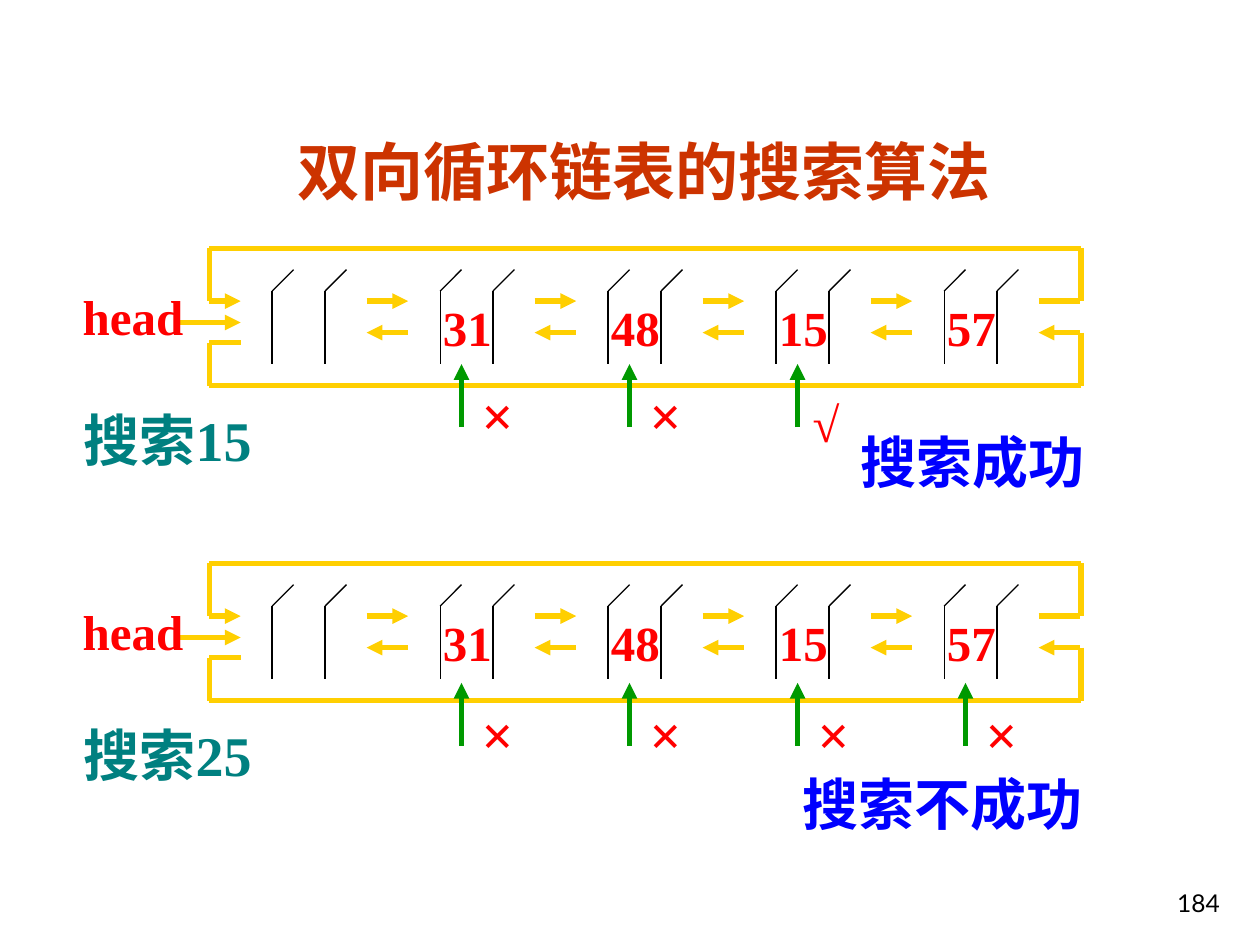
from dataclasses import dataclass

from lxml import etree
from pptx import Presentation
from pptx.dml.color import RGBColor
from pptx.enum import shapes, text
from pptx.oxml.ns import qn
from pptx.util import Inches, Pt


@dataclass(frozen=True)
class Theme:
    """Colours, fonts and sizes of the slide."""
    title: str = "CC3300"
    label: str = "FF0000"
    query: str = "008080"
    result: str = "0000FF"
    link: str = "FFCF01"
    probe: str = "009900"
    ink: str = "000000"
    font: str = "Times New Roman"
    number_font: str = "Lato"
    title_size: int = 36
    large: int = 32
    medium: int = 28
    small: int = 14
    thick: float = 3
    thin: float = 0.75


T = Theme()
PITCH = 4 / 3
NODE_X = 0.5
PROBE_DX = 0.17


def add_text(s, box, content, size, color, align=text.PP_ALIGN.CENTER,
             anchor=text.MSO_ANCHOR.MIDDLE, inset=(0.1, 0.05), wrap=False,
             font=T.font, bold=True):
    """Add one line of text in a box given in inches."""
    sp = s.shapes.add_textbox(*map(Inches, box))
    tf = sp.text_frame
    tf.word_wrap = wrap
    tf.vertical_anchor = anchor
    tf.margin_left = tf.margin_right = Inches(inset[0])
    tf.margin_top = tf.margin_bottom = Inches(inset[1])
    p = tf.paragraphs[0]
    p.text = content
    p.alignment = align
    f = p.runs[0].font
    f.name, f.size, f.bold = font, Pt(size), bold
    f.color.rgb = RGBColor.from_string(color)


def add_line(s, origin, start, end, color=T.link, width=T.thick, arrow=None):
    """Add a line between two points relative to an origin."""
    x, y = origin
    ends = (x + start[0], y + start[1], x + end[0], y + end[1])
    c = s.shapes.add_connector(shapes.MSO_CONNECTOR.STRAIGHT, *map(Inches, ends))
    c.line.color.rgb = RGBColor.from_string(color)
    c.line.width = Pt(width)
    if arrow:
        etree.SubElement(c.line._get_or_add_ln(), qn(f"a:{arrow}"), type="triangle")
    etree.SubElement(c._element.spPr, qn("a:effectLst"))


def add_node(s, origin, value):
    """Draw the two field dividers of a node and its value."""
    for x in (0, 0.42):
        add_line(s, origin, (x, 0.34), (x, 0.92), T.ink, T.thin)
        add_line(s, origin, (x, 0.34), (x + 0.17, 0.17), T.ink, T.thin)
    if value:
        add_text(s, (origin[0] - 0.08, origin[1] + 0.34, 0.59, 0.57),
                 value, T.medium, T.label)


def add_probe(s, origin, mark):
    """Draw a search step as an upward arrow with its outcome mark."""
    x, y = origin
    add_line(s, origin, (0, 0.5), (0, 0), T.probe, arrow="tailEnd")
    if mark == "√":
        add_text(s, (x + 0.02, y + 0.18, 0.41, 0.57), mark, T.medium, T.label)
    else:
        add_text(s, (x + 0.06, y + 0.08, 0.45, 0.63), mark, T.large, T.label)


def add_loop(s, box):
    """Draw the links that close the list into a ring."""
    left, top, w, h = box
    origin = (left, top)
    add_line(s, origin, (0, 0.42), (0.25, 0.42), arrow="tailEnd")
    add_line(s, origin, (-0.25, 0.59), (0.25, 0.59), arrow="tailEnd")
    for start, end in (
        ((w, 0), (0, 0)), ((0, 0), (0, 0.42)), ((w, 0), (w, 0.42)),
        ((w, h), (0, h)), ((0, 0.75), (0, h)), ((w, 0.67), (w, h)),
        ((0, 0.75), (0.25, 0.75)),
    ):
        add_line(s, origin, start, end)


def add_search(s, box, values, query, marks, probe_y):
    """Draw one list with its query and search steps."""
    left, top = box[:2]
    add_loop(s, box)
    last = len(values) - 1
    for i, value in enumerate(values):
        x = i * PITCH
        add_node(s, (left + NODE_X + x, top), value)
        add_line(s, (left + x, top), (1.25, 0.42), (1.58, 0.42),
                 arrow="tailEnd" if i < last else None)
        add_line(s, (left + x, top), (1.25, 0.67), (1.58, 0.67), arrow="headEnd")
    add_text(s, (left - 1.11, top + 0.25, 1.01, 0.57), "head", T.medium, T.label)
    add_text(s, (left - 1.1, top + 1.2, 1.54, 0.63), query, T.large, T.query,
             wrap=True)
    for i, mark in enumerate(marks, start=1):
        add_probe(s, (left + NODE_X + PROBE_DX + i * PITCH, top + probe_y), mark)


def add_heading(s, box):
    """Place the slide title."""
    add_text(s, box, "双向循环链表的搜索算法", T.title_size, T.title,
             anchor=text.MSO_ANCHOR.TOP, inset=(0.12, 0.06), wrap=True)


def add_result(s, box, content):
    """Place the outcome of a search."""
    add_text(s, box, content, T.large, T.result, text.PP_ALIGN.LEFT,
             text.MSO_ANCHOR.TOP, (0.12, 0.06), wrap=True)


def add_page_number(s, box):
    """Place the page number."""
    add_text(s, box, "184", T.small, T.ink, text.PP_ALIGN.RIGHT,
             text.MSO_ANCHOR.BOTTOM, wrap=True, font=T.number_font, bold=False)


def main():
    """Build and save the slide."""
    prs = Presentation()
    prs.slide_width, prs.slide_height = Inches(10), Inches(7.5)
    s = prs.slides.add_slide(prs.slide_layouts[6])
    values = ("", "31", "48", "15", "57")
    add_heading(s, (1.85, 0.99, 6.52, 0.73))
    add_search(s, (1.66, 1.97, 6.92, 1.09), values, "搜索15", "××√", 0.92)
    add_search(s, (1.66, 4.47, 6.92, 1.09), values, "搜索25", "××××", 0.95)
    add_result(s, (6.71, 3.33, 2.15, 0.66), "搜索成功")
    add_result(s, (6.25, 6.05, 2.5, 0.66), "搜索不成功")
    add_page_number(s, (7.7, 6.83, 2.08, 0.5))
    prs.save("out.pptx")


if __name__ == "__main__":
    main()
